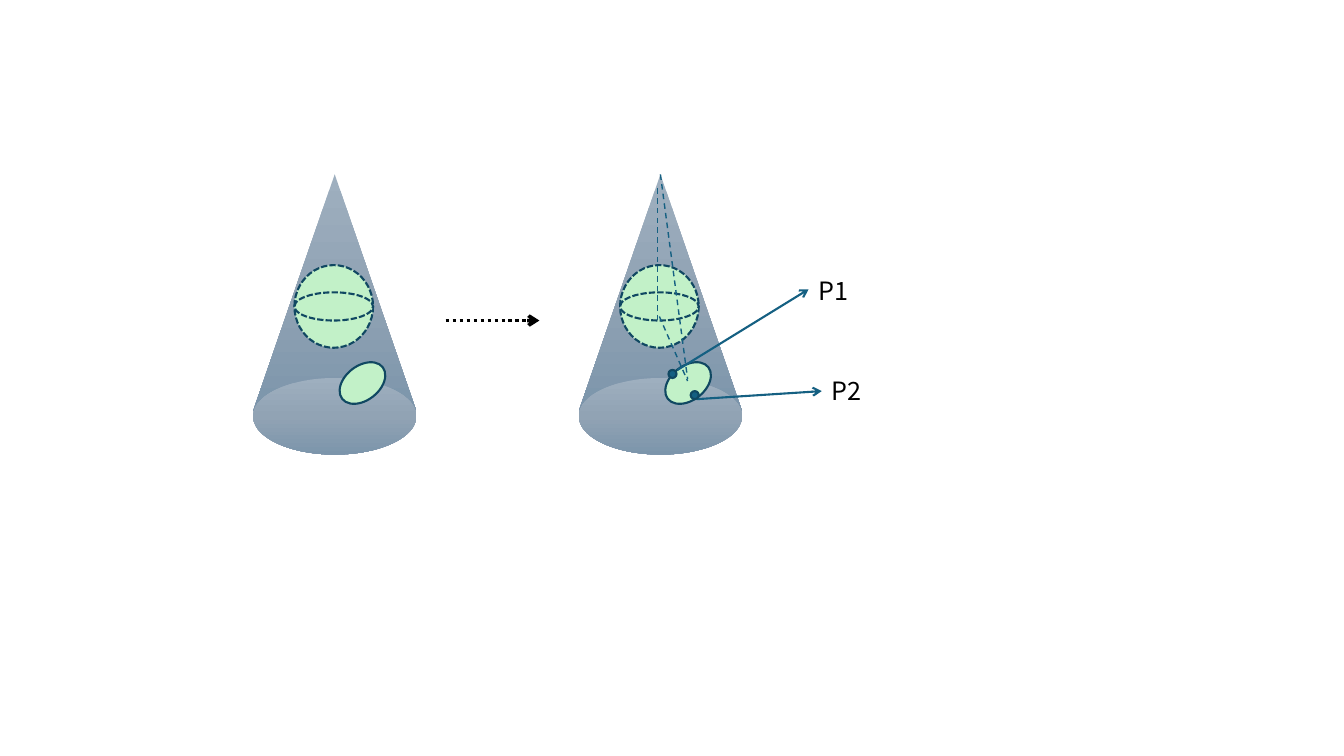
from copy import deepcopy

from lxml.etree import SubElement
from pptx import Presentation
from pptx.dml.color import RGBColor
from pptx.enum.dml import MSO_LINE_DASH_STYLE as Dash
from pptx.enum.shapes import MSO_CONNECTOR as Connector, MSO_SHAPE as Shape
from pptx.enum.text import MSO_AUTO_SIZE as AutoSize
from pptx.oxml.ns import qn
from pptx.util import Pt

PX = 9144
FONT = "Noto Sans CJK SC"
BLACK, GREEN, NAVY, BLUE = "000000", "C2F1C8", "104862", "156082"
CONE_STOPS = [(0, "9EAFBF"), (0.5, "91A3B4"), (1, "7C95AB")]


def color(value):
    """Turn a hex string into a colour."""
    return RGBColor.from_string(value)


def px(*lengths):
    """Turn pixel lengths into EMU."""
    return [length * PX for length in lengths]


def set_line(line, value, width, dash=None):
    """Format an outline or a connector line."""
    line.color.rgb = color(value)
    formats = {"width": Pt(width), "dash_style": dash}
    for name, setting in formats.items():
        setattr(line, name, setting)


def add_shape(slide, kind, box):
    """Add a preset shape without a shadow."""
    shape = slide.shapes.add_shape(kind, *px(*box))
    shape.shadow.inherit = False
    return shape


def add_gradient_shape(slide, kind, box):
    """Add a shape shaded from top to bottom, without an outline."""
    shape = add_shape(slide, kind, box)
    shape.line.fill.background()
    fill = shape.fill
    fill.gradient()
    fill.gradient_angle = 270
    first_stop = shape.element.spPr.find(".//" + qn("a:gs"))
    first_stop.addnext(deepcopy(first_stop))
    for stop, (position, value) in zip(fill.gradient_stops, CONE_STOPS):
        stop.position = position
        stop.color.rgb = color(value)


def add_ellipse(slide, box, fill=GREEN, dash=None, rotation=0):
    """Add a filled and outlined ellipse."""
    ellipse = add_shape(slide, Shape.OVAL, box)
    ellipse.fill.solid()
    ellipse.fill.fore_color.rgb = color(fill)
    ellipse.rotation = rotation
    set_line(ellipse.line, NAVY, 1.5, dash)


def add_line(slide, start, end, value=BLUE, width=1.5, dash=None, arrow=True):
    """Add a straight line, with an arrowhead at its end if asked."""
    connector = slide.shapes.add_connector(Connector.STRAIGHT, *px(*start, *end))
    set_line(connector.line, value, width, dash)
    properties = connector.element.spPr
    if arrow:
        SubElement(properties.find(qn("a:ln")), qn("a:tailEnd"), type="arrow")
    SubElement(properties, qn("a:effectLst"))


def add_label(slide, text, box):
    """Add a point name."""
    label = slide.shapes.add_textbox(*px(*box))
    frame = label.text_frame
    for name, setting in {"word_wrap": True, "auto_size": AutoSize.SHAPE_TO_FIT_TEXT}.items():
        setattr(frame, name, setting)
    run = frame.paragraphs[0].add_run()
    run.text = text
    for name, setting in {"name": FONT, "size": Pt(18)}.items():
        setattr(run.font, name, setting)
    run.font.color.rgb = color(BLACK)


def add_cone(slide, left, top, width, height):
    """Draw a cone that holds a sphere and a tilted ellipse."""
    base = 76
    add_gradient_shape(slide, Shape.ISOSCELES_TRIANGLE, (left, top, width, height - 43))
    add_gradient_shape(slide, Shape.OVAL, (left, top + height - base, width, base))
    sphere = left + (width - 78) // 2 - 1
    for offset, sphere_height in [(90, 82), (117, 28)]:
        add_ellipse(slide, (sphere, top + offset, 78, sphere_height), dash=Dash.SQUARE_DOT)
    add_ellipse(slide, (left + 83, top + 190, 51, 34), rotation=322)


def add_projection(slide, left, top):
    """Draw the projection lines and the two named points of a cone."""
    def place(point):
        return left + point[0], top + point[1]

    for start, end in [((78, 14), (78, 145)), ((80, 141), (108, 205)), ((81, 0), (108, 203))]:
        add_line(slide, place(start), place(end), width=1, dash=Dash.DASH, arrow=False)
    points = [
        ("P1", (89, 194), (98, 194), (228, 114), (228, 95), 79),
        ("P2", (111, 215), (117, 223), (241, 215), (241, 194), 66),
    ]
    for name, dot, start, end, label, width in points:
        add_line(slide, place(start), place(end))
        add_ellipse(slide, (*place(dot), 8, 8), fill=BLUE)
        add_label(slide, name, (*place(label), width, 40))


def main():
    """Build and save the slide."""
    presentation = Presentation()
    presentation.slide_width, presentation.slide_height = px(1333, 750)
    slide = presentation.slides.add_slide(presentation.slide_layouts[6])
    top = 173
    for left in (251, 574):
        add_cone(slide, left, top, 162, 278)
    add_projection(slide, 574, top)
    add_line(slide, (442, 318), (535, 318), BLACK, 2.5, Dash.ROUND_DOT)
    presentation.save("out.pptx")


if __name__ == "__main__":
    main()
